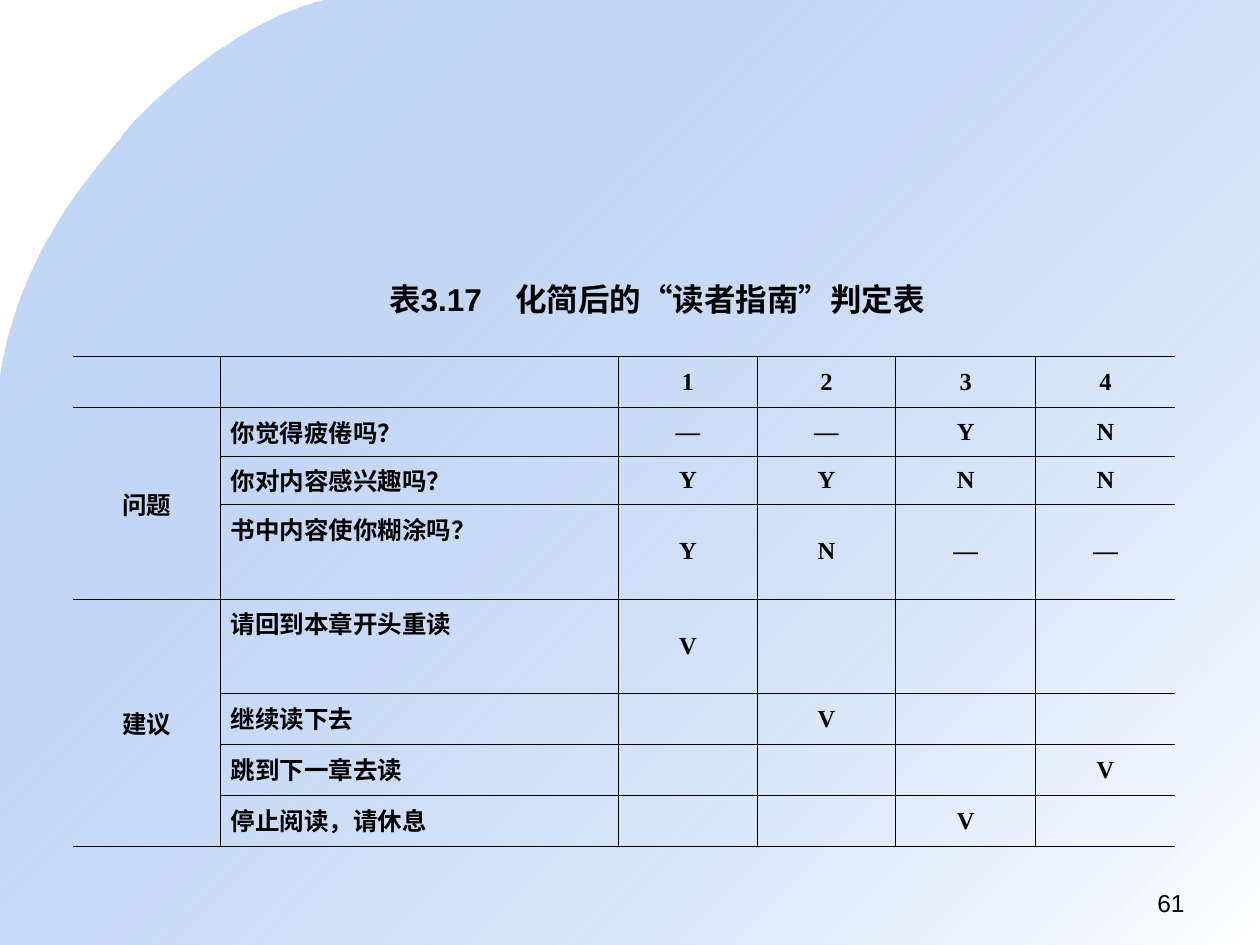
"""Build the slide with the simplified decision table of the reader's guide."""
from lxml import etree
from pptx import Presentation
from pptx import util as u
from pptx.dml.color import RGBColor
from pptx.enum import text
from pptx.oxml.ns import qn

BLACK = RGBColor(0x00, 0x00, 0x00)
BLUE = RGBColor(0x69, 0x9D, 0xE9)
WHITE = RGBColor(0xFF, 0xFF, 0xFF)

CURVES = [
    ((2.58, 0), (1.9, 0.16), (1.16, 0.83), (0.98, 1.07)),
    ((0.98, 1.07), (0.8, 1.32), (0.16, 1.94), (0, 3.01)),
]
CURVE_STEPS = 24
COLUMN_WIDTHS = [1.17, 3.16, 1.1, 1.1, 1.11, 1.11]
ROW_HEIGHTS = [0.37, 0.38, 0.37, 0.75, 0.75, 0.38, 0.37, 0.38]
ROWS = [
    ["", "", "1", "2", "3", "4"],
    ["问题", "你觉得疲倦吗？", "—", "—", "Y", "N"],
    ["", "你对内容感兴趣吗？", "Y", "Y", "N", "N"],
    ["", "书中内容使你糊涂吗？", "Y", "N", "—", "—"],
    ["建议", "请回到本章开头重读", "V", "", "", ""],
    ["", "继续读下去", "", "V", "", ""],
    ["", "跳到下一章去读", "", "", "", "V"],
    ["", "停止阅读，请休息", "", "", "V", ""],
]
GROUPS = [(1, 3), (4, 7)]


def bezier_point(curve, t):
    """Return the point at t on a cubic curve."""
    weights = ((1 - t) ** 3, 3 * t * (1 - t) ** 2, 3 * t * t * (1 - t), t ** 3)
    return tuple(u.Inches(sum(w * point[axis] for w, point in zip(weights, curve)))
                 for axis in (0, 1))


def add_backdrop(page):
    """Add the gradient area with the curved top left corner."""
    points = [bezier_point(curve, step / CURVE_STEPS)
              for curve in CURVES for step in range(1, CURVE_STEPS + 1)]
    points += [(u.Inches(x), u.Inches(y)) for x, y in ((0, 7.5), (10, 7.5), (10, 0))]
    builder = page.shapes.build_freeform(u.Inches(2.58), 0)
    builder.add_line_segments(points, close=True)
    backdrop = builder.convert_to_shape()
    backdrop.shadow.inherit = False
    backdrop.line.fill.background()
    backdrop.fill.gradient()
    backdrop.fill.gradient_angle = 315
    for stop, color, position in zip(backdrop.fill.gradient_stops, (BLUE, WHITE), (0, 1)):
        stop.color.rgb = color
        stop.position = position
    first_color = next(backdrop._element.iter(qn("a:srgbClr")))
    etree.SubElement(first_color, qn("a:alpha"), val="39000")


def style_font(para, name, size, bold):
    """Set the black font of a paragraph."""
    para.font.name = name
    para.font.size = u.Pt(size)
    para.font.bold = bold
    para.font.color.rgb = BLACK


def add_text(page, words, left, top, width, height, size, bold=False, align=None):
    """Add a one-line Arial text box and return its frame."""
    box = page.shapes.add_textbox(*map(u.Inches, (left, top, width, height)))
    frame = box.text_frame
    frame.word_wrap = True
    para = frame.paragraphs[0]
    para.text = words
    para.alignment = align
    style_font(para, "Arial", size, bold)
    return frame


def set_borders(cell, visible_sides):
    """Draw thin black borders on the given sides and none on the others."""
    properties = cell._tc.get_or_add_tcPr()
    for side in "LRTB":
        line = etree.SubElement(properties, qn(f"a:ln{side}"), w=str(u.Pt(0.45)))
        if side in visible_sides:
            fill = etree.SubElement(line, qn("a:solidFill"))
            etree.SubElement(fill, qn("a:srgbClr"), val=str(BLACK))
        else:
            etree.SubElement(line, qn("a:noFill"))


def fill_cell(cell, words, row, column):
    """Format one table cell and write its words."""
    last = len(COLUMN_WIDTHS) - 1
    set_borders(cell, "TB" + ("L" if column > 0 else "") + ("R" if column < last else ""))
    cell.fill.background()
    cell.margin_left = cell.margin_right = u.Inches(0.08)
    cell.margin_top = cell.margin_bottom = u.Inches(0.05)
    if not words:
        return
    is_sentence = column == 1
    cell.vertical_anchor = text.MSO_ANCHOR.TOP if is_sentence else text.MSO_ANCHOR.MIDDLE
    para = cell.text_frame.paragraphs[0]
    para.text = words
    para.alignment = text.PP_ALIGN.JUSTIFY if is_sentence else text.PP_ALIGN.CENTER
    para.space_before = para.space_after = u.Pt(1.4 if row else 1.2)
    style_font(para, "Times New Roman", 14, True)


def add_decision_table(page):
    """Add the table of questions, advice and rules."""
    frame = page.shapes.add_table(len(ROWS), len(COLUMN_WIDTHS),
                                  *map(u.Inches, (0.58, 2.83, 8.75, 3.75)))
    table = frame.table
    table.first_row = table.horz_banding = False
    for column, width in zip(table.columns, COLUMN_WIDTHS):
        column.width = u.Inches(width)
    for row, height in zip(table.rows, ROW_HEIGHTS):
        row.height = u.Inches(height)
    for first, last in GROUPS:
        table.cell(first, 0).merge(table.cell(last, 0))
    for row, entries in enumerate(ROWS):
        for column, words in enumerate(entries):
            fill_cell(table.cell(row, column), words, row, column)


def main():
    """Build and save the deck."""
    deck = Presentation()
    deck.slide_width, deck.slide_height = u.Inches(10), u.Inches(7.5)
    page = deck.slides.add_slide(deck.slide_layouts[6])
    add_backdrop(page)
    add_decision_table(page)
    title = add_text(page, "表3.17\t化简后的“读者指南”判定表", 2.99, 2.17, 4.45, 0.4, 18, bold=True)
    title.word_wrap = False
    title.auto_size = text.MSO_AUTO_SIZE.SHAPE_TO_FIT_TEXT
    add_text(page, "61", 7.17, 7, 2.33, 0.35, 14, align=text.PP_ALIGN.RIGHT)
    deck.save("out.pptx")


if __name__ == "__main__":
    main()
